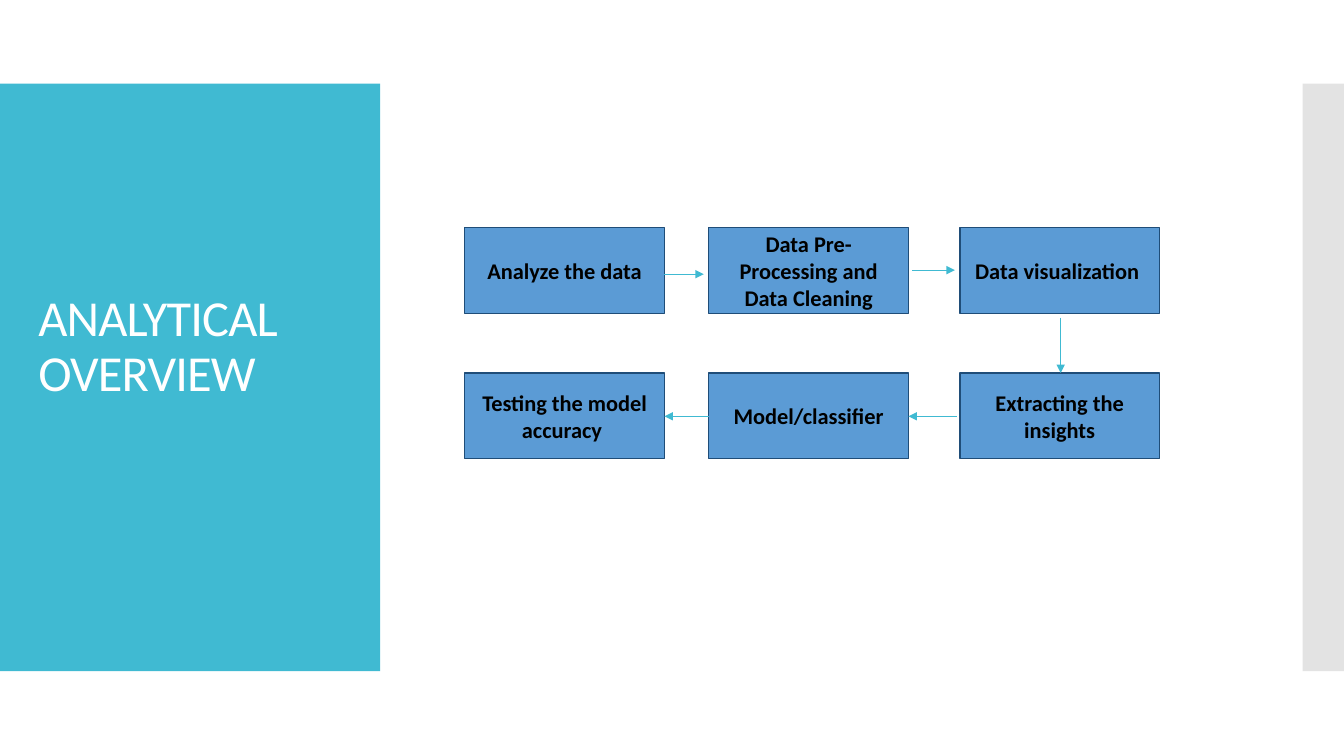
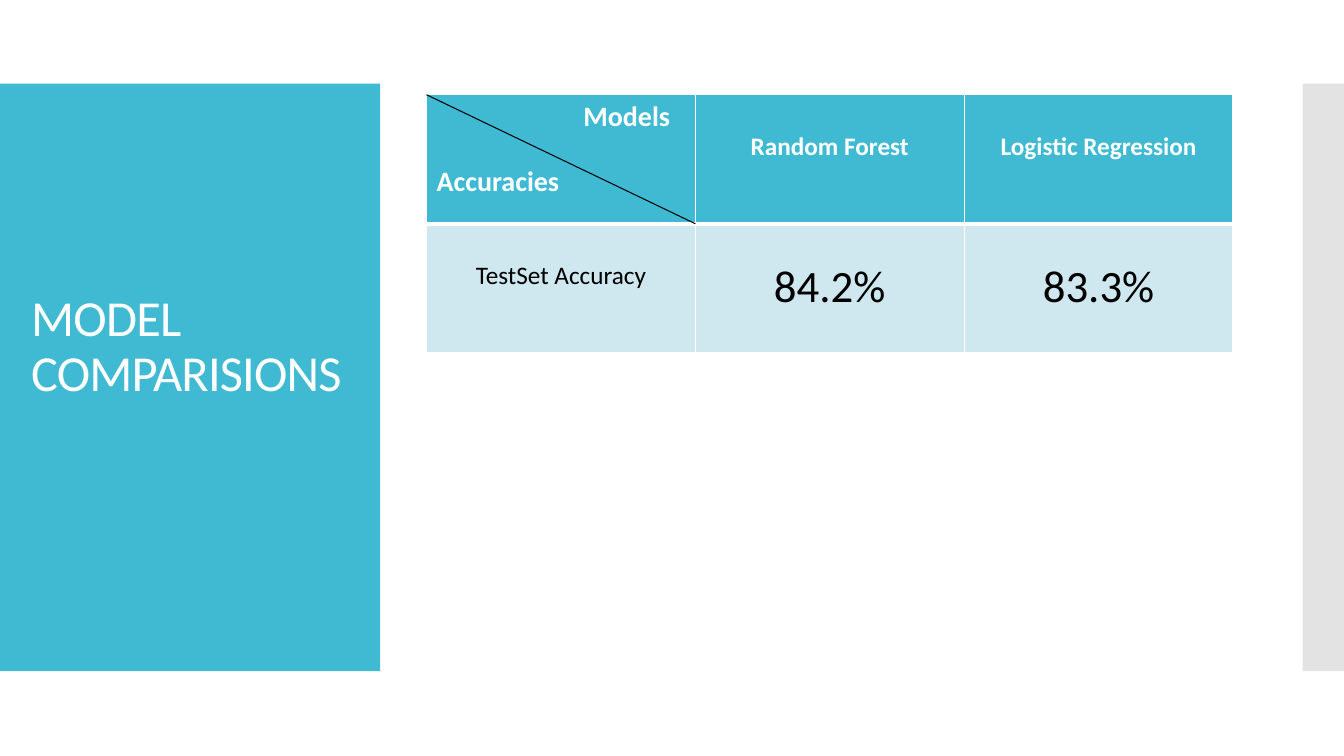
from dataclasses import dataclass

from lxml import etree
from pptx import Presentation
from pptx.dml.color import RGBColor
from pptx.enum.shapes import MSO_CONNECTOR, MSO_SHAPE
from pptx.enum.text import MSO_ANCHOR, MSO_AUTO_SIZE, PP_ALIGN
from pptx.oxml.ns import qn
from pptx.util import Inches, Pt

RECTANGLE = MSO_SHAPE.RECTANGLE
STRAIGHT = MSO_CONNECTOR.STRAIGHT
MIDDLE = MSO_ANCHOR.MIDDLE
LEFT, CENTER, RIGHT = PP_ALIGN.LEFT, PP_ALIGN.CENTER, PP_ALIGN.RIGHT
NO_AUTOFIT = MSO_AUTO_SIZE.NONE


@dataclass(frozen=True)
class Theme:
    font: str = "Calibri"
    accent: str = "40BAD2"
    side_band: str = "C8C8C8"
    step_fill: str = "5B9BD5"
    step_line: str = "1F4D78"
    body_row: str = "CFE7EE"
    white: str = "FFFFFF"
    black: str = "000000"
    title_size: int = 36
    step_size: int = 16
    corner_size: int = 20
    label_size: int = 18
    value_size: int = 32
    thin: float = 0.75
    outline: float = 1
    header_rule: float = 3


THEME = Theme()

BAND_TOP, BAND_HEIGHT = 0.83, 5.83
BANDS = [
    (0, 3.77, THEME.accent, 100),
    (12.92, 0.42, THEME.side_band, 50),
]
TITLE_TOP, TITLE_HEIGHT, TITLE_BOTTOM_INSET = 1.23, 5.03, 0.64

OVERVIEW_TITLE = ("ANALYTICAL OVERVIEW", 0.28, 3.22)
STEP_ROWS = [
    ["Analyze the data", "Data Pre-Processing and Data Cleaning", "Data visualization "],
    ["Testing the model accuracy ", "Model/classifier", "Extracting the insights"],
]
STEP_LEFTS = [4.61, 7.03, 9.52]
STEP_TOPS = [2.26, 3.7]
STEP_WIDTH, STEP_HEIGHT = 1.98, 0.85
STEP_ARROWS = [
    ((6.59, 2.72), (6.98, 2.72)),
    ((9.05, 2.68), (9.47, 2.68)),
    ((10.52, 3.15), (10.52, 3.7)),
    ((9.49, 4.13), (9.01, 4.13)),
    ((7.03, 4.13), (6.59, 4.13)),
]

COMPARISON_TITLE = ("MODEL COMPARISIONS", 0.21, 3.57)
CORNER_LABELS = ("Models", "Accuracies")
MODELS = ["Random Forest", "Logistic Regression"]
ACCURACY_LABEL = "TestSet Accuracy"
ACCURACIES = ["84.2%", "83.3%"]
TABLE_LEFT, TABLE_TOP, TABLE_WIDTH = 4.23, 0.94, 8
ROW_HEIGHT = 1.28
CELL_TOP_INSET, CORNER_RIGHT_INSET = 0.36, 0.25
CORNER_GAP = 22


def rgb(value):
    return RGBColor.from_string(value)


def add_run(paragraph, text, size, color, bold=False, alignment=CENTER):
    paragraph.alignment = alignment
    run = paragraph.add_run()
    run.text = text
    run.font.name = THEME.font
    run.font.size = Pt(size)
    run.font.bold = bold
    run.font.color.rgb = rgb(color)
    return run


def add_box(slide, left, top, width, height, color):
    shape = slide.shapes.add_shape(
        RECTANGLE, Inches(left), Inches(top), Inches(width), Inches(height)
    )
    shape.shadow.inherit = False
    shape.fill.solid()
    shape.fill.fore_color.rgb = rgb(color)
    shape.line.fill.background()
    return shape


def add_line(slide, start, end, color, arrow=False):
    points = [Inches(value) for value in (*start, *end)]
    connector = slide.shapes.add_connector(STRAIGHT, *points)
    connector.line.color.rgb = rgb(color)
    connector.line.width = Pt(THEME.thin)
    if arrow:
        line = connector.line._get_or_add_ln()
        etree.SubElement(line, qn("a:tailEnd"), type="triangle")
    etree.SubElement(connector._element.spPr, qn("a:effectLst"))


def add_bands(layout, slide):
    for left, width, color, opacity in BANDS:
        band = add_box(slide, left, BAND_TOP, width, BAND_HEIGHT, color)
        if opacity < 100:
            fill_color = band._element.spPr.find(".//" + qn("a:srgbClr"))
            etree.SubElement(fill_color, qn("a:alpha"), val=str(opacity * 1000))
        layout.shapes.element.append(band._element)


def set_title(slide, text, left, width):
    title = slide.shapes.title
    title.left, title.top = Inches(left), Inches(TITLE_TOP)
    title.width, title.height = Inches(width), Inches(TITLE_HEIGHT)
    frame = title.text_frame
    frame.word_wrap = True
    frame.auto_size = NO_AUTOFIT
    frame.vertical_anchor = MIDDLE
    frame.margin_bottom = Inches(TITLE_BOTTOM_INSET)
    paragraph = frame.paragraphs[0]
    paragraph.line_spacing = 0.9
    run = add_run(paragraph, text, THEME.title_size, THEME.white, alignment=LEFT)
    run.font._element.set("spc", "-60")


def add_step(slide, text, left, top):
    step = add_box(slide, left, top, STEP_WIDTH, STEP_HEIGHT, THEME.step_fill)
    step.line.color.rgb = rgb(THEME.step_line)
    step.line.width = Pt(THEME.outline)
    step.text_frame.word_wrap = True
    step.text_frame.vertical_anchor = MIDDLE
    add_run(step.text_frame.paragraphs[0], text, THEME.step_size, THEME.black, bold=True)


def style_cell(cell, color, top_rule, bottom_rule):
    properties = cell._tc.get_or_add_tcPr()
    widths = {"lnL": THEME.outline, "lnR": THEME.outline, "lnT": top_rule, "lnB": bottom_rule}
    for side, width in widths.items():
        border = etree.SubElement(properties, qn("a:" + side), w=str(Pt(width)))
        fill = etree.SubElement(border, qn("a:solidFill"))
        etree.SubElement(fill, qn("a:srgbClr"), val=THEME.white)
    cell.fill.solid()
    cell.fill.fore_color.rgb = rgb(color)


def fill_cell(cell, text, size, color, bold):
    cell.margin_top = Inches(CELL_TOP_INSET)
    add_run(cell.text_frame.paragraphs[0], text, size, color, bold)


def fill_corner(cell):
    models, accuracies = CORNER_LABELS
    cell.margin_right = Inches(CORNER_RIGHT_INSET)
    paragraph = cell.text_frame.paragraphs[0]
    add_run(paragraph, models, THEME.corner_size, THEME.white, True, RIGHT)
    paragraph = cell.text_frame.add_paragraph()
    paragraph.space_before = Pt(CORNER_GAP)
    add_run(paragraph, accuracies, THEME.corner_size, THEME.white, True, LEFT)


def add_comparison_table(slide):
    column_count = len(MODELS) + 1
    table = slide.shapes.add_table(
        2, column_count, Inches(TABLE_LEFT), Inches(TABLE_TOP),
        Inches(TABLE_WIDTH), Inches(2 * ROW_HEIGHT),
    ).table
    for column in range(column_count):
        style_cell(table.cell(0, column), THEME.accent, THEME.outline, THEME.header_rule)
        style_cell(table.cell(1, column), THEME.body_row, THEME.header_rule, THEME.outline)
    fill_corner(table.cell(0, 0))
    fill_cell(table.cell(1, 0), ACCURACY_LABEL, THEME.label_size, THEME.black, False)
    for column, (model, accuracy) in enumerate(zip(MODELS, ACCURACIES), start=1):
        fill_cell(table.cell(0, column), model, THEME.label_size, THEME.white, True)
        fill_cell(table.cell(1, column), accuracy, THEME.value_size, THEME.black, False)
    corner_end = (TABLE_LEFT + TABLE_WIDTH / column_count, TABLE_TOP + ROW_HEIGHT)
    add_line(slide, (TABLE_LEFT, TABLE_TOP), corner_end, THEME.black)


presentation = Presentation()
presentation.slide_width = Inches(13.33)
presentation.slide_height = Inches(7.5)
title_only = presentation.slide_layouts.get_by_name("Title Only")

overview = presentation.slides.add_slide(title_only)
add_bands(title_only, overview)
set_title(overview, *OVERVIEW_TITLE)
for top, texts in zip(STEP_TOPS, STEP_ROWS):
    for left, text in zip(STEP_LEFTS, texts):
        add_step(overview, text, left, top)
for start, end in STEP_ARROWS:
    add_line(overview, start, end, THEME.accent, arrow=True)

comparison = presentation.slides.add_slide(title_only)
set_title(comparison, *COMPARISON_TITLE)
add_comparison_table(comparison)

presentation.save("out.pptx")
